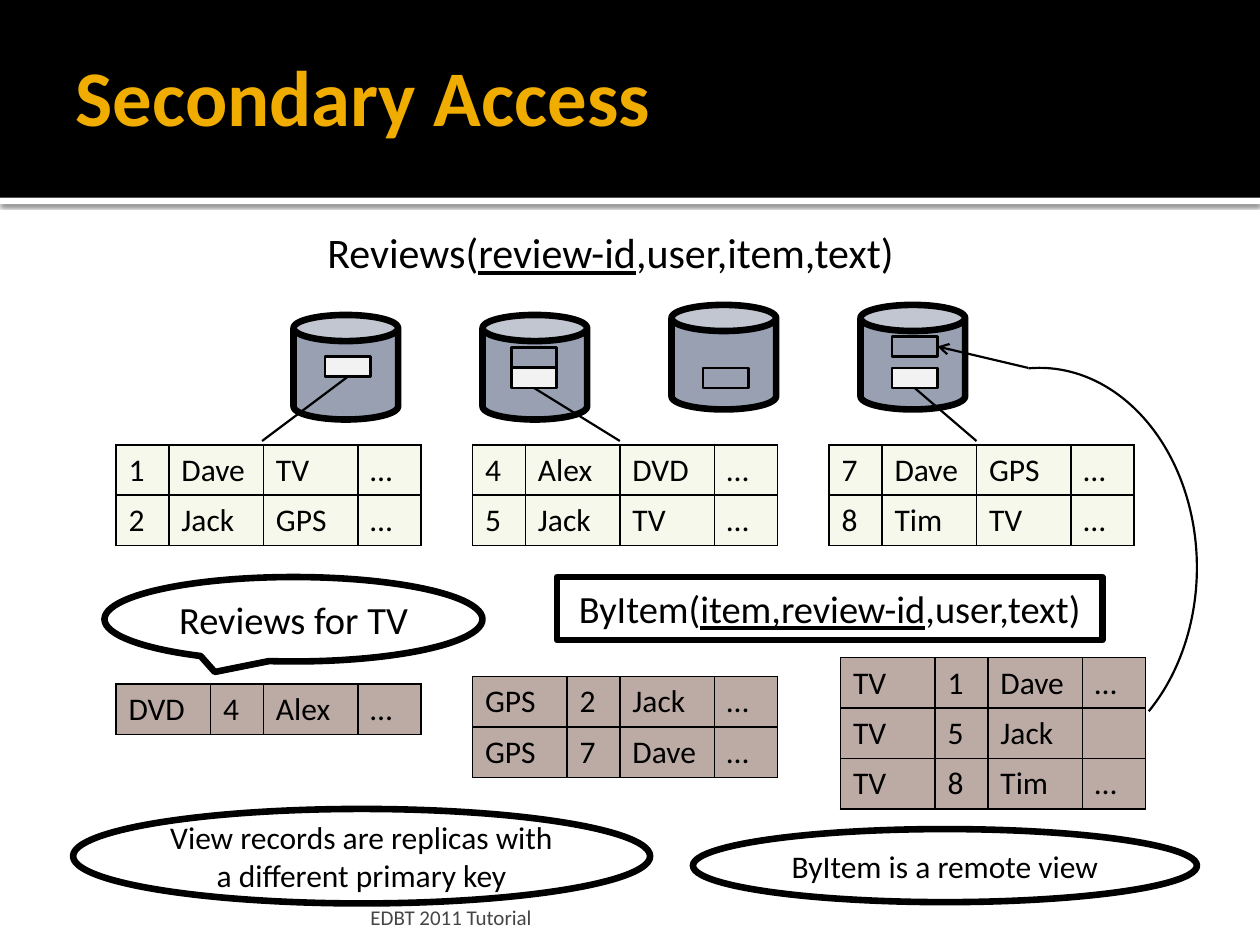
from lxml.etree import SubElement
from pptx import Presentation
from pptx.dml.color import RGBColor as RGB
from pptx.enum.shapes import MSO_CONNECTOR as LINK, MSO_SHAPE as SHAPE
from pptx.enum.text import MSO_ANCHOR as ANCHOR, PP_ALIGN as ALIGN
from pptx.oxml import parse_xml
from pptx.oxml.ns import nsdecls, qn
from pptx.util import Inches, Pt

THEME = {
    "font": "Calibri", "ink": "000000", "paper": "FFFFFF", "title": "F0AD00",
    "footer": "454545", "disk": "98A0B2", "record": "F2F2F2",
    "review": "F7F8EC", "view": "BCABA5",
    "title_size": 45, "schema_size": 24, "label_size": 22, "body_size": 18,
    "footer_size": 12, "heavy": 3.78, "medium": 1.5, "thin": 1.25, "border": 1,
}

TITLE = "Secondary Access"
FOOTER = "EDBT 2011 Tutorial"
REVIEWS_SCHEMA = ("Reviews(", "review-id", ",user,item,text)")
BYITEM_SCHEMA = ("ByItem(", "item,review-id", ",user,text)")

DISK_TOPS = [2.5, 2.5, 2.42, 2.42]
DISK_LEFT, DISK_STEP, DISK_SIZE = 2.33, 1.5, 0.83
RECORD_SIZE = (0.36, 0.16)
VIEW_RECORDS = [(4.06, 2.76), (7.08, 2.67), (5.58, 2.92)]
REVIEW_RECORDS = [(2.58, 2.83), (4.06, 2.92), (7.08, 2.92)]
RECORD_LINKS = [
    ((2.76, 2.99), (2.08, 3.5)),
    ((4.24, 3.08), (4.92, 3.5)),
    ((7.26, 3.08), (7.75, 3.5)),
]

ROW_HEIGHT = 0.4
REVIEW_COLUMNS = [0.42, 0.75, 0.75, 0.5]
VIEW_COLUMNS = [0.75, 0.42, 0.75, 0.5]
REVIEW_TABLES = [
    (0.92, 3.53, [("1", "Dave", "TV", "…"), ("2", "Jack", "GPS", "…")]),
    (3.75, 3.53, [("4", "Alex", "DVD", "…"), ("5", "Jack", "TV", "…")]),
    (6.58, 3.53, [("7", "Dave", "GPS", "…"), ("8", "Tim", "TV", "…")]),
]
VIEW_TABLES = [
    (0.92, 5.43, [("DVD", "4", "Alex", "…")]),
    (3.75, 5.37, [("GPS", "2", "Jack", "…"), ("GPS", "7", "Dave", "…")]),
    (6.67, 5.22, [("TV", "1", "Dave", "…"), ("TV", "5", "Jack", ""),
                  ("TV", "8", "Tim", "…")]),
]

CALLOUTS = [
    (SHAPE.RECTANGLE, (4.42, 4.58, 4.33, 0.5), BYITEM_SCHEMA, "label_size"),
    (SHAPE.OVAL_CALLOUT, (0.83, 4.58, 3, 0.67), ("Reviews for TV",), "label_size"),
    (SHAPE.OVAL, (0.58, 6.42, 4.58, 0.75),
     ("View records are replicas with a different primary key",), "body_size"),
    (SHAPE.OVAL, (5.5, 6.58, 4, 0.58), ("ByItem is a remote view",), "body_size"),
]


def color(name):
    return RGB.from_string(THEME[name])


def inches(values):
    return [Inches(value) for value in values]


def write(frame, parts, size, ink="ink", align=ALIGN.LEFT, bold=False):
    paragraph = frame.paragraphs[0]
    paragraph.alignment = align
    for index, part in enumerate(parts):
        run = paragraph.add_run()
        run.text = part
        font = run.font
        font.name, font.size, font.bold = THEME["font"], Pt(THEME[size]), bold
        font.color.rgb = color(ink)
        if index == 1:
            font.underline = True


def draw(slide, kind, box, fill=None, line=None):
    shape = slide.shapes.add_shape(kind, *inches(box))
    shape.shadow.inherit = False
    if fill:
        shape.fill.solid()
        shape.fill.fore_color.rgb = color(fill)
    else:
        shape.fill.background()
    if line:
        shape.line.color.rgb = color("ink")
        shape.line.width = Pt(THEME[line])
    else:
        shape.line.fill.background()
    return shape


def connect(slide, start, end):
    link = slide.shapes.add_connector(LINK.STRAIGHT, *inches(start + end))
    link.line.color.rgb = color("ink")
    link.line.width = Pt(THEME["thin"])
    SubElement(link._element.spPr, qn("a:effectLst"))
    return link


def add_grid(slide, left, top, rows, columns, fill):
    box = inches((left, top, sum(columns), ROW_HEIGHT * len(rows)))
    table = slide.shapes.add_table(len(rows), len(columns), *box).table
    table.first_row = table.horz_banding = False
    for column, width in zip(table.columns, columns):
        column.width = Inches(width)
    for r, row in enumerate(rows):
        table.rows[r].height = Inches(ROW_HEIGHT)
        for c, entry in enumerate(row):
            cell = table.cell(r, c)
            write(cell.text_frame, (entry,) if entry else (), "body_size")
            cell.fill.solid()
            cell.fill.fore_color.rgb = color(fill)
            properties = cell._tc.get_or_add_tcPr()
            for position, side in enumerate("LRTB"):
                properties.insert(position, parse_xml(
                    f'<a:ln{side} {nsdecls("a")} w="{Pt(THEME["border"])}"><a:solidFill>'
                    f'<a:srgbClr val="{THEME["ink"]}"/></a:solidFill></a:ln{side}>'))


def add_header(slide):
    rule = draw(slide, SHAPE.RECTANGLE, (0, 1.57, 10, 0.05), "paper")
    effects = rule._element.spPr.find(qn("a:effectLst"))
    effects.append(parse_xml(
        f'<a:outerShdw {nsdecls("a")} blurRad="{Pt(2.5)}" dist="{Pt(0.8)}" dir="5400000">'
        f'<a:srgbClr val="{THEME["ink"]}"><a:alpha val="60000"/></a:srgbClr></a:outerShdw>'))
    draw(slide, SHAPE.RECTANGLE, (0, 0, 10, 1.57), "ink")
    title = slide.shapes.title
    slide.shapes._spTree.append(title._element)
    title.left, title.top, title.width, title.height = inches((0.5, 0.17, 9, 1.16))
    frame = title.text_frame
    frame.margin_right = Inches(0.05)
    frame.vertical_anchor = ANCHOR.MIDDLE
    write(frame, (TITLE,), "title_size", "title", bold=True)


def add_disks(slide):
    for index, top in enumerate(DISK_TOPS):
        left = DISK_LEFT + index * DISK_STEP
        draw(slide, SHAPE.CAN, (left, top, DISK_SIZE, DISK_SIZE), "disk", "heavy")
    for places, fill in ((VIEW_RECORDS, None), (REVIEW_RECORDS, "record")):
        for place in places:
            draw(slide, SHAPE.RECTANGLE, place + RECORD_SIZE, fill, "medium")
    for start, end in RECORD_LINKS:
        connect(slide, start, end)


def add_texts(slide):
    schema = slide.shapes.add_textbox(*inches((2.5, 1.75, 4.72, 0.5))).text_frame
    schema.word_wrap = False
    write(schema, REVIEWS_SCHEMA, "schema_size")
    for kind, box, parts, size in CALLOUTS:
        frame = draw(slide, kind, box, line="heavy").text_frame
        frame.word_wrap = True
        frame.vertical_anchor = ANCHOR.MIDDLE
        write(frame, parts, size, align=ALIGN.CENTER)
    footer = slide.shapes.add_textbox(*inches((2.89, 7.08, 6.02, 0.3))).text_frame
    footer.word_wrap = True
    footer.vertical_anchor = ANCHOR.BOTTOM
    footer.margin_left = footer.margin_right = Inches(0.05)
    footer.margin_bottom = 0
    write(footer, (FOOTER,), "footer_size", "footer")


def add_view_route(slide):
    route = draw(slide, SHAPE.ARC, (7, 2.92, 2.5, 3.17), line="thin")
    route.adjustments[0], route.adjustments[1] = 160.1, 31.64
    arrow = connect(slide, (8.16, 2.92), (7.44, 2.75))
    SubElement(arrow.line._get_or_add_ln(), qn("a:tailEnd"), type="arrow")


def main():
    deck = Presentation()
    deck.slide_width, deck.slide_height = inches((10, 7.5))
    slide = deck.slides.add_slide(deck.slide_layouts[5])
    add_header(slide)
    add_disks(slide)
    add_texts(slide)
    for tables, columns, fill in ((REVIEW_TABLES, REVIEW_COLUMNS, "review"),
                                  (VIEW_TABLES, VIEW_COLUMNS, "view")):
        for left, top, rows in tables:
            add_grid(slide, left, top, rows, columns, fill)
    add_view_route(slide)
    deck.save("out.pptx")


if __name__ == "__main__":
    main()
